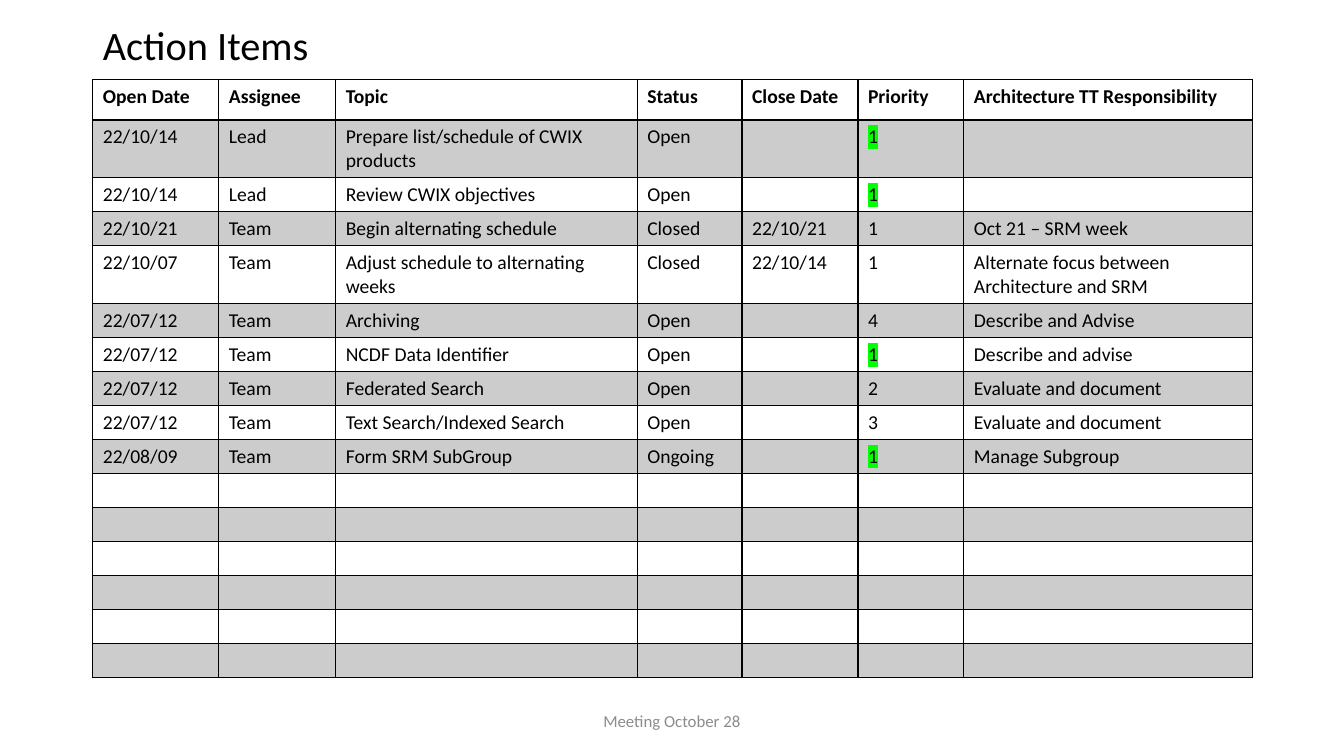
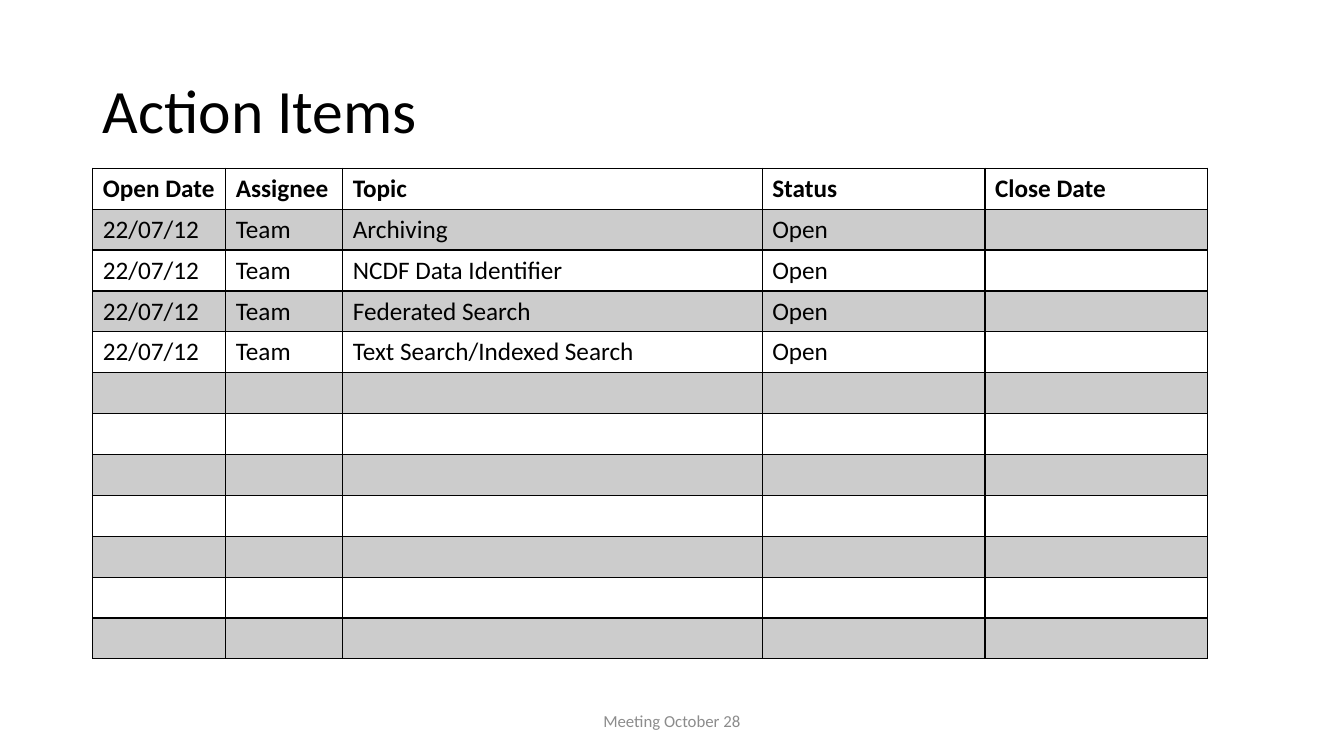
from lxml import etree
from pptx import Presentation
from pptx import util as u
from pptx.dml.color import RGBColor
from pptx.enum import text as t
from pptx.oxml import ns

INK = {"text": "000000", "line": "000000", "band": "000000",
       "mark": "00FF00", "foot": "8C8C8C"}
FONT = "Calibri"

deck = Presentation()
deck.slide_width, deck.slide_height = u.Inches(13.33), u.Inches(7.5)
W = deck.slide_width
LEFT = u.Inches(0.92)


def put(frame, words, size, color="text", bold=False, align=t.PP_ALIGN.LEFT,
        anchor=t.MSO_ANCHOR.TOP, space=1.0, mark=None):
    """Write one formatted paragraph; an empty one keeps its size."""
    frame.word_wrap = True
    frame.auto_size = t.MSO_AUTO_SIZE.NONE
    frame.vertical_anchor = anchor
    para = frame.paragraphs[0]
    para.alignment, para.line_spacing = align, space
    if not words:
        etree.SubElement(para._p, ns.qn("a:endParaRPr"), sz=str(size * 100))
        return
    run = para.add_run()
    run.text = words
    font = run.font
    font.size, font.bold, font.name = u.Pt(size), bold, FONT
    font.color.rgb = RGBColor.from_string(INK[color])
    if mark:
        glow = etree.Element(ns.qn("a:highlight"))
        etree.SubElement(glow, ns.qn("a:srgbClr"), val=INK[mark])
        run._r.rPr.find(ns.qn("a:solidFill")).addnext(glow)


def edge(cell, width):
    """Draw the four borders of a cell, width in points."""
    props = cell._tc.get_or_add_tcPr()
    for side in "LRTB":
        line = etree.SubElement(props, ns.qn("a:ln" + side), w=str(u.Pt(width)))
        fill = etree.SubElement(line, ns.qn("a:solidFill"))
        etree.SubElement(fill, ns.qn("a:srgbClr"), val=INK["line"])


# Content
head = ["Open Date", "Assignee", "Topic", "Status", "Close Date", "Priority",
        "Architecture TT Responsibility"]
items = [
    ["22/10/14", "Lead", "Prepare list/schedule of CWIX products", "Open", "", "1", ""],
    ["22/10/14", "Lead", "Review CWIX objectives", "Open", "", "1", ""],
    ["22/10/21", "Team", "Begin alternating schedule", "Closed", "22/10/21", "1",
     "Oct 21 – SRM week"],
    ["22/10/07", "Team", "Adjust schedule to alternating weeks", "Closed", "22/10/14",
     "1", "Alternate focus between Architecture and SRM"],
    ["22/07/12", "Team", "Archiving", "Open", "", "4", "Describe and Advise"],
    ["22/07/12", "Team", "NCDF Data Identifier", "Open", "", "1", "Describe and advise"],
    ["22/07/12", "Team", "Federated Search", "Open", "", "2", "Evaluate and document"],
    ["22/07/12", "Team", "Text Search/Indexed Search", "Open", "", "3",
     "Evaluate and document"],
    ["22/08/09", "Team", "Form SRM SubGroup", "Ongoing", "", "1", "Manage Subgroup"],
]
pages = [
    dict(title=(0.26, 0.42, 28.8), top=0.79, tall=5.91, size=14, rows=16,
         step=0.33, data=items, cols=[1.25, 1.16, 2.99, 1.04, 1.15, 1.05, 2.86]),
    dict(title=(0.4, 1.45, 44), top=1.67, tall=4.87, size=18, rows=12,
         step=0.4, data=items[4:8], cols=[1.32, 1.16, 4.16, 2.21, 2.21]),
]

for page in pages:
    slide = deck.slides.add_slide(deck.slide_layouts[5])

    # Title
    top, tall, size = page["title"]
    title = slide.shapes.title
    title.left, title.top = LEFT, u.Inches(top)
    title.width, title.height = W - 2 * LEFT, u.Inches(tall)
    put(title.text_frame, "Action Items", size, anchor=t.MSO_ANCHOR.MIDDLE, space=0.9)

    # Table grid
    cols, count = page["cols"], page["rows"]
    frame = slide.shapes.add_table(count, len(cols), LEFT, u.Inches(page["top"]),
                                   u.Inches(sum(cols)), u.Inches(page["tall"]))
    grid = frame.table
    for col, width in zip(grid.columns, cols):
        col.width = u.Inches(width)
    for r, row in enumerate(grid.rows):
        row.height = u.Inches(page["step"] if r else 0.4)
    frame.height = u.Inches(page["tall"])

    # Cells: banded rows, unclosed items of top priority marked
    lines = [head] + page["data"]
    lines += [[""] * len(head)] * (count - len(lines))
    for r, line in enumerate(lines):
        for c in range(len(cols)):
            cell = grid.cell(r, c)
            urgent = head[c] == "Priority" and line[c] == "1" and line[3] != "Closed"
            put(cell.text_frame, line[c], page["size"], bold=r == 0,
                mark="mark" if urgent else None)
            edge(cell, 1)
            if r % 2:
                cell.fill.solid()
                cell.fill.fore_color.rgb = RGBColor.from_string(INK["band"])
                shade = cell._tc.tcPr.find(ns.qn("a:solidFill"))[0]
                etree.SubElement(shade, ns.qn("a:alpha"), val="20000")
            else:
                cell.fill.background()

    # Footer
    wide = u.Inches(4.5)
    foot = slide.shapes.add_textbox((W - wide) // 2, u.Inches(6.95), wide, u.Inches(0.4))
    put(foot.text_frame, "Meeting October 28", 12, color="foot",
        align=t.PP_ALIGN.CENTER, anchor=t.MSO_ANCHOR.MIDDLE)

deck.save("out.pptx")
